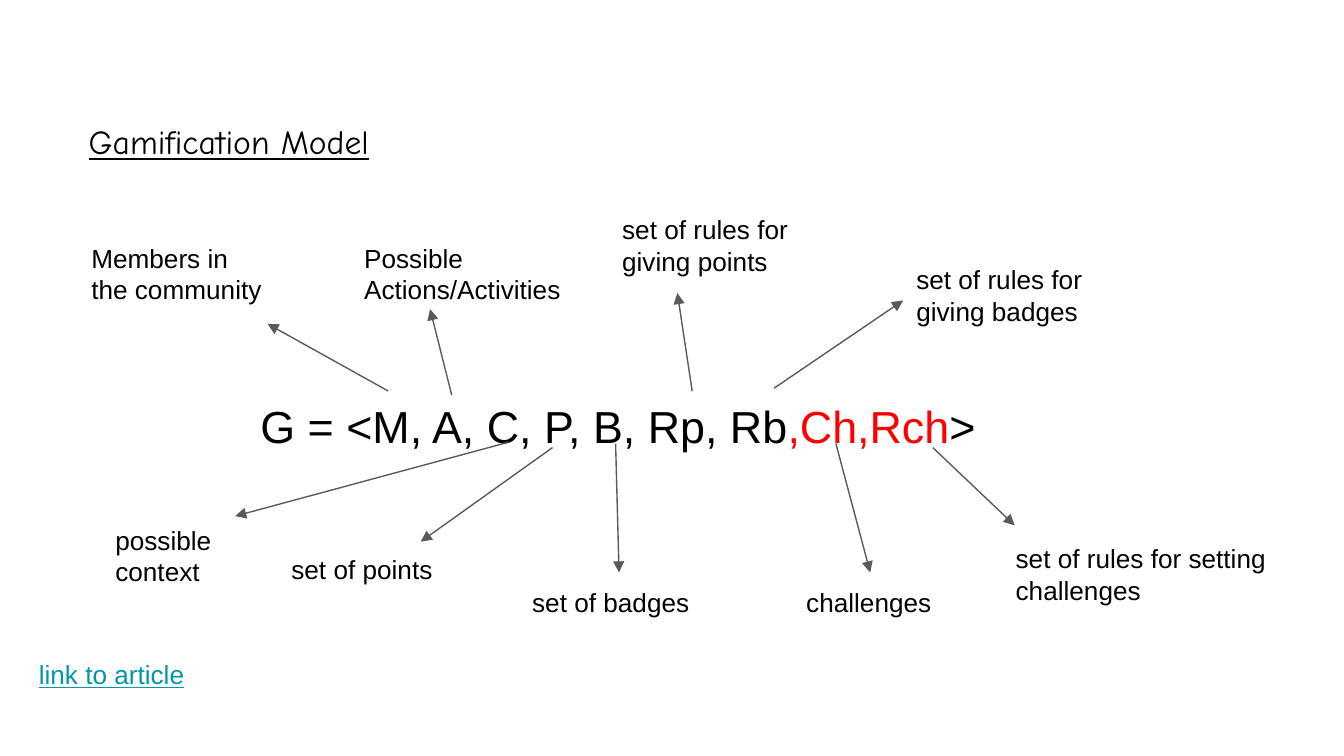
from lxml.etree import SubElement
from pptx import Presentation
from pptx.dml.color import RGBColor
from pptx.enum.shapes import MSO_CONNECTOR as Connector
from pptx.enum.text import MSO_ANCHOR as Anchor, MSO_AUTO_SIZE as AutoSize, PP_ALIGN as Align
from pptx.oxml.ns import qn
from pptx.util import Pt

BLACK = "000000"
RED = "FF0000"
GREY = "595959"
TEAL = "0097A7"
TOP, LEFT = 0, 1

LABELS = {
    "rules for challenges": (537, 283.5, 153.5, 50, ["set of rules for setting challenges"]),
    "members": (41.8, 122.4, 107.3, 54, ["Members in the community"]),
    "actions": (188, 122.4, 121, 54, ["Possible Actions/Activities"]),
    "rules for points": (326.2, 107.3, 113.8, 54, ["set of rules for giving points"]),
    "context": (54.7, 273.6, 67, 54, ["possible", "context"]),
    "points": (149, 289.5, 90, 38, ["set of points"]),
    "badges": (278, 306.7, 107.3, 28, ["set of badges"]),
    "rules for badges": (483.8, 134, 107.3, 54, ["set of rules for giving badges"]),
    "challenges": (424.8, 306.7, 82.8, 28, ["challenges"]),
}

FREE_ARROWS = [
    (208, 209.5, 143.3, 173.5),
    (242, 211.7, 230.4, 165.6),
    (272.2, 237, 126, 276.5),
    (296, 239.8, 225.4, 290.2),
    (370.8, 209.5, 362.9, 157),
    (499.7, 239.8, 543.6, 281.5),
]

JOINED_ARROWS = [
    (329.8, 237.6, "badges", TOP),
    (414.7, 208, "rules for badges", LEFT),
    (447.8, 237.6, "challenges", TOP),
]


def colour(value):
    return RGBColor.from_string(value)


def add_span(para, text, size=14, ink=BLACK, font="Arial", underline=None):
    span = para.add_run()
    span.text = text
    span.font.size = Pt(size)
    span.font.name = font
    span.font.color.rgb = colour(ink)
    span.font.underline = underline


def set_frame(box):
    frame = box.text_frame
    frame.word_wrap = True
    frame.auto_size = AutoSize.NONE
    frame.vertical_anchor = Anchor.TOP
    frame.margin_left = frame.margin_right = Pt(7.2)
    frame.margin_top = frame.margin_bottom = Pt(7.2)
    return frame


def add_box(page, left, top, width, height):
    box = page.shapes.add_textbox(Pt(left), Pt(top), Pt(width), Pt(height))
    set_frame(box)
    return box


def add_title(page, text):
    title = page.shapes.title
    title.left, title.top, title.width, title.height = Pt(40.3), Pt(57.6), Pt(190), Pt(38)
    para = set_frame(title).paragraphs[0]
    para.alignment = Align.LEFT
    add_span(para, text, 18, font="Comic Neue", underline=True)


def add_formula(page):
    para = add_box(page, 132.5, 202.3, 436.3, 77.8).text_frame.paragraphs[0]
    para.line_spacing = 1.15
    for text, ink in (("G = <M, A, C, P, B, Rp, Rb", BLACK), (",Ch,Rch", RED), (">", BLACK)):
        add_span(para, text, 24, ink)


def add_label(page, left, top, width, height, lines):
    box = add_box(page, left, top, width, height)
    frame = box.text_frame
    for index, line in enumerate(lines):
        para = frame.add_paragraph() if index else frame.paragraphs[0]
        add_span(para, line)
    return box


def add_arrow(page, x1, y1, x2, y2):
    arrow = page.shapes.add_connector(Connector.STRAIGHT, Pt(x1), Pt(y1), Pt(x2), Pt(y2))
    arrow.line.color.rgb = colour(GREY)
    arrow.line.width = Pt(0.75)
    SubElement(arrow.line._get_or_add_ln(), qn("a:tailEnd"), type="triangle", w="med", len="med")
    SubElement(arrow._element.spPr, qn("a:effectLst"))
    return arrow


def main():
    deck = Presentation()
    deck.slide_width, deck.slide_height = Pt(720), Pt(405)
    page = deck.slides.add_slide(deck.slide_layouts[5])
    add_title(page, "Gamification Model")
    add_formula(page)
    boxes = {name: add_label(page, *label) for name, label in LABELS.items()}
    for ends in FREE_ARROWS:
        add_arrow(page, *ends)
    for x, y, name, side in JOINED_ARROWS:
        add_arrow(page, x, y, x, y).end_connect(boxes[name], side)
    link = add_box(page, 13.7, 345.6, 130.3, 19.4)
    add_span(link.text_frame.paragraphs[0], "link to article", ink=TEAL, underline=True)
    deck.save("out.pptx")


if __name__ == "__main__":
    main()
